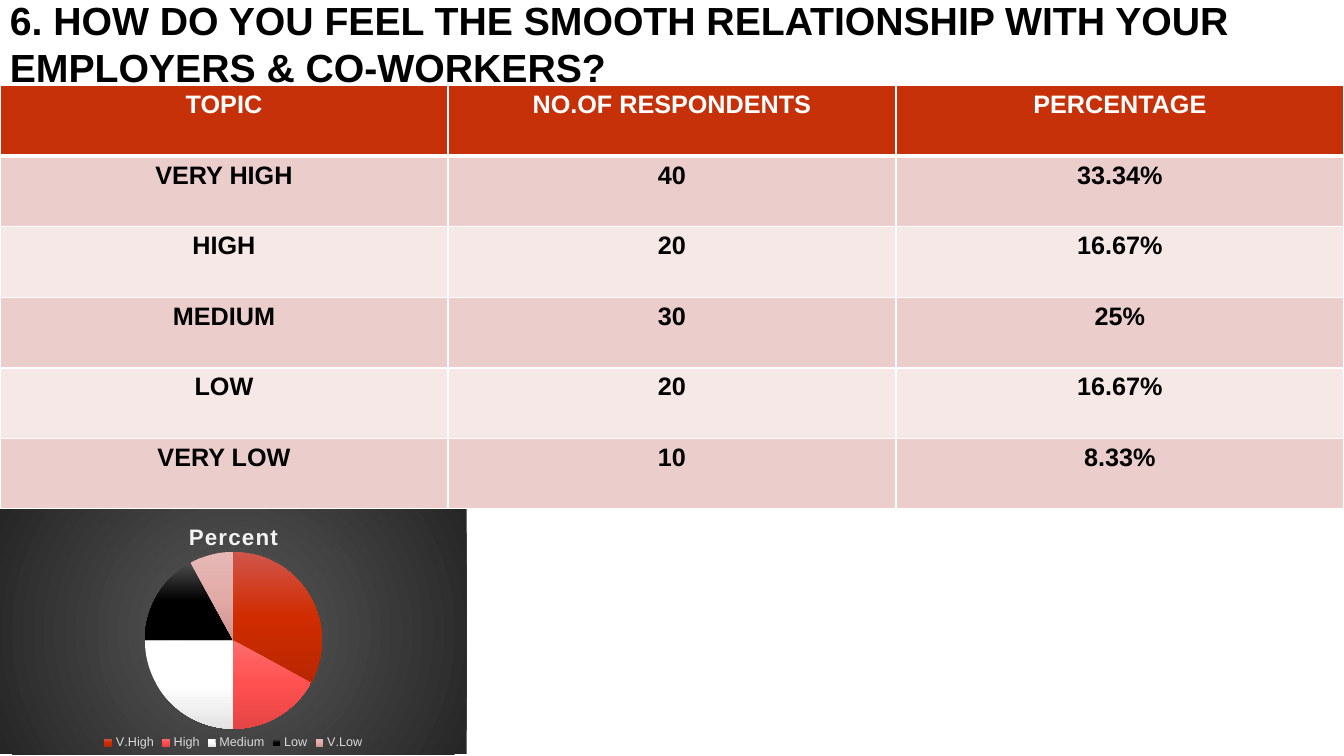
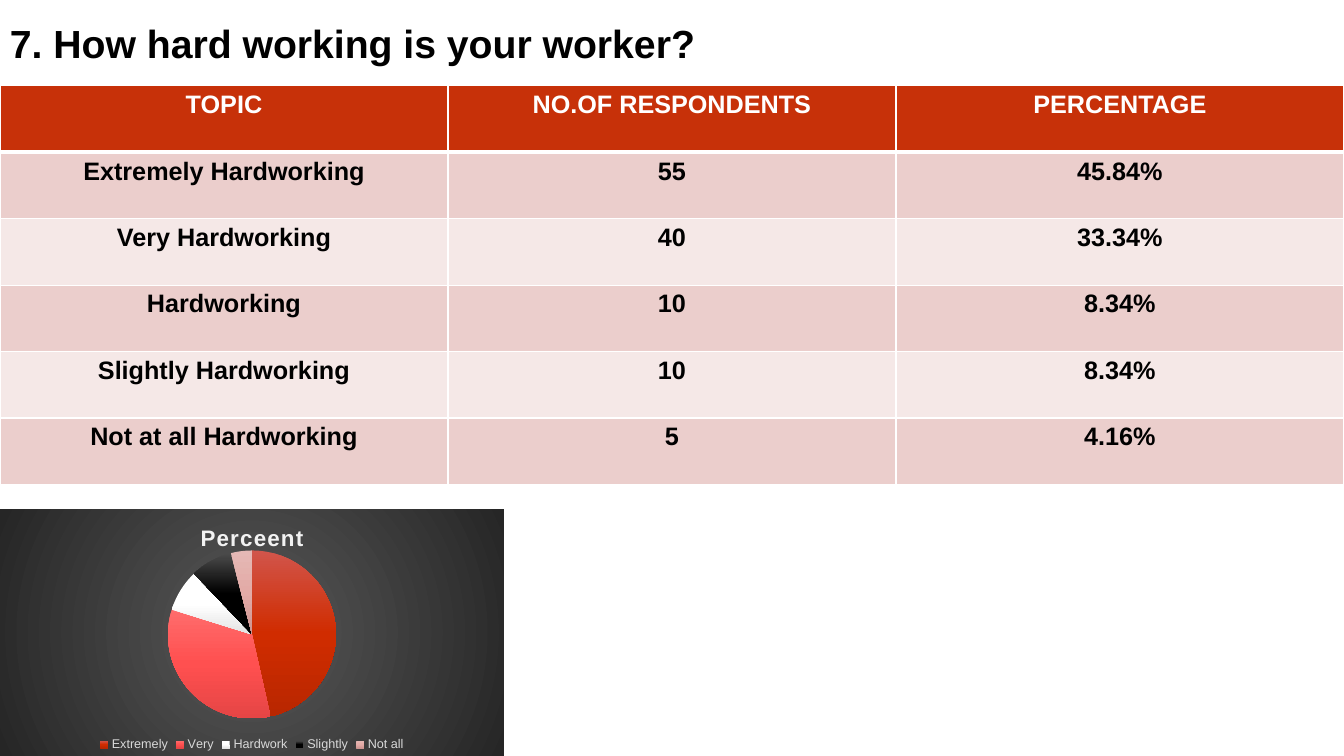
from dataclasses import dataclass

from lxml.etree import SubElement
from pptx import Presentation
from pptx.chart.chart import Chart
from pptx.chart.data import CategoryChartData
from pptx.dml.color import RGBColor
from pptx.enum.chart import XL_CHART_TYPE, XL_LEGEND_POSITION
from pptx.enum.text import MSO_ANCHOR, PP_ALIGN
from pptx.oxml.ns import qn
from pptx.slide import Slide
from pptx.table import _Cell
from pptx.util import Pt

FONT = "Arial"
BLACK = "000000"
WHITE = "FFFFFF"
HEADER_FILL = "C73109"
BAND_FILLS = ("EBCECC", "F5E8E7")
CHART_TITLE_COLOUR = "F2F2F2"
LEGEND_COLOUR = "D9D9D9"
CHART_BACKGROUND = ("595959", "262626")
SLICE_GRADIENTS = (
    ("D1554B", "D02C00", "B92700"),
    ("FF6C6C", "FF5050", "E54545"),
    ("FFFFFF", "FFFFFF", "E3E3E3"),
    ("4B4B4B", "000000", "000000"),
    ("E5B8B5", "E3ABA7", "CD9491"),
)

SLIDE_WIDTH = 960
SLIDE_HEIGHT = 540
TITLE_HEIGHT = 61.2
CHART_TOP = 363.6
HEADINGS = ("TOPIC", "NO.OF RESPONDENTS", "PERCENTAGE")


@dataclass(frozen=True)
class Answer:
    topic: str
    respondents: str
    percentage: str
    short_name: str
    chart_value: int


@dataclass(frozen=True)
class Question:
    title: str
    row_height: float
    chart_title: str
    chart_width: float
    chart_height: float
    plot_area: tuple[float, float, float, float]
    answers: tuple[Answer, ...]


QUESTIONS = (
    Question(
        "6. HOW DO YOU FEEL THE SMOOTH RELATIONSHIP WITH YOUR EMPLOYERS & CO-WORKERS?",
        50.4, "Percent", 333.4, 175, (0.005, 0.175, 0.99, 0.722),
        (
            Answer("VERY HIGH", "40", "33.34%", "V.High", 33),
            Answer("HIGH", "20", "16.67%", "High", 17),
            Answer("MEDIUM", "30", "25%", "Medium", 25),
            Answer("LOW", "20", "16.67%", "Low", 17),
            Answer("VERY LOW", "10", "8.33%", "V.Low", 8),
        ),
    ),
    Question(
        "7. How hard working is your worker?",
        47.5, "Perceent", 360, 176.4, (0.004, 0.168, 0.992, 0.68),
        (
            Answer("Extremely Hardworking", "55", "45.84%", "Extremely", 46),
            Answer("Very Hardworking", "40", "33.34%", "Very", 33),
            Answer("Hardworking", "10", "8.34%", "Hardwork", 8),
            Answer("Slightly Hardworking", "10", "8.34%", "Slightly", 8),
            Answer("Not at all Hardworking", "5", "4.16%", "Not all", 4),
        ),
    ),
)


def colour(value: str) -> RGBColor:
    return RGBColor.from_string(value)


def style_font(font, *, size: float, color: str, bold: bool = False) -> None:
    font.name = FONT
    font.size = Pt(size)
    font.bold = bold
    font.color.rgb = colour(color)


def write_text(text_frame, text: str, *, size: float, color: str = BLACK,
               bold: bool = True, align: PP_ALIGN = PP_ALIGN.LEFT):
    paragraph = text_frame.paragraphs[0]
    paragraph.alignment = align
    run = paragraph.add_run()
    run.text = text
    style_font(run.font, size=size, color=color, bold=bold)
    return run


def set_gradient(properties, colours: tuple[str, ...], *, radial: bool = False) -> None:
    for solid in properties.findall(qn("a:solidFill")):
        properties.remove(solid)
    gradient = SubElement(properties, qn("a:gradFill"))
    properties.insert(0, gradient)
    stops = SubElement(gradient, qn("a:gsLst"))
    for index, value in enumerate(colours):
        position = index * 100000 // (len(colours) - 1)
        stop = SubElement(stops, qn("a:gs"), pos=str(position))
        SubElement(stop, qn("a:srgbClr"), val=value)
    if radial:
        circle = SubElement(gradient, qn("a:path"), path="circle")
        SubElement(circle, qn("a:fillToRect"),
                   {side: "50000" for side in ("l", "t", "r", "b")})
    else:
        SubElement(gradient, qn("a:lin"), ang="5400000", scaled="0")


def set_borders(cell: _Cell, *, top: float, bottom: float) -> None:
    properties = cell._tc.get_or_add_tcPr()
    widths = {"a:lnL": 1, "a:lnR": 1, "a:lnT": top, "a:lnB": bottom}
    for index, (tag, width) in enumerate(widths.items()):
        line = SubElement(properties, qn(tag), w=str(int(Pt(width))))
        fill = SubElement(line, qn("a:solidFill"))
        SubElement(fill, qn("a:srgbClr"), val=WHITE)
        properties.insert(index, line)


def add_title(slide: Slide, text: str) -> None:
    shape = slide.shapes.add_textbox(Pt(0), Pt(0), Pt(SLIDE_WIDTH), Pt(TITLE_HEIGHT))
    shape.text_frame.word_wrap = True
    shape.text_frame.vertical_anchor = MSO_ANCHOR.MIDDLE
    write_text(shape.text_frame, text, size=28)


def add_answer_table(slide: Slide, question: Question) -> None:
    rows = [HEADINGS] + [(answer.topic, answer.respondents, answer.percentage)
                         for answer in question.answers]
    table = slide.shapes.add_table(
        len(rows), len(HEADINGS), Pt(0), Pt(TITLE_HEIGHT),
        Pt(SLIDE_WIDTH), Pt(question.row_height * len(rows))).table
    table.horz_banding = False
    for row_index, texts in enumerate(rows):
        table.rows[row_index].height = Pt(question.row_height)
        is_header = row_index == 0
        background = HEADER_FILL if is_header else BAND_FILLS[(row_index - 1) % 2]
        for column_index, text in enumerate(texts):
            cell = table.cell(row_index, column_index)
            cell.fill.solid()
            cell.fill.fore_color.rgb = colour(background)
            set_borders(cell, top=3 if row_index == 1 else 1,
                        bottom=3 if is_header else 1)
            write_text(cell.text_frame, text, size=18,
                       color=WHITE if is_header else BLACK, align=PP_ALIGN.CENTER)


def set_plot_area(chart: Chart, area: tuple[float, float, float, float]) -> None:
    plot_area = chart._chartSpace.find(qn("c:chart")).find(qn("c:plotArea"))
    for existing in plot_area.findall(qn("c:layout")):
        plot_area.remove(existing)
    layout = SubElement(plot_area, qn("c:layout"))
    plot_area.insert(0, layout)
    manual = SubElement(layout, qn("c:manualLayout"))
    settings = [("layoutTarget", "inner"), ("xMode", "edge"), ("yMode", "edge")]
    settings += zip("xywh", map(str, area))
    for name, value in settings:
        SubElement(manual, qn(f"c:{name}"), val=value)


def fill_chart_background(chart: Chart) -> None:
    chart_space = chart._chartSpace
    properties = SubElement(chart_space, qn("c:spPr"))
    chart_space.find(qn("c:chart")).addnext(properties)
    set_gradient(properties, CHART_BACKGROUND, radial=True)
    SubElement(SubElement(properties, qn("a:ln")), qn("a:noFill"))


def add_percent_pie(slide: Slide, question: Question) -> None:
    data = CategoryChartData()
    data.categories = [answer.short_name for answer in question.answers]
    data.add_series(question.chart_title,
                    [answer.chart_value for answer in question.answers])
    chart = slide.shapes.add_chart(
        XL_CHART_TYPE.PIE, Pt(0), Pt(CHART_TOP),
        Pt(question.chart_width), Pt(question.chart_height), data).chart
    style_font(chart.font, size=10, color=BLACK)
    chart.has_title = True
    chart.chart_title.include_in_layout = False
    title_run = write_text(chart.chart_title.text_frame, question.chart_title,
                           size=16, color=CHART_TITLE_COLOUR, align=PP_ALIGN.CENTER)
    title_run.font._element.set("spc", "100")
    chart.has_legend = True
    chart.legend.position = XL_LEGEND_POSITION.BOTTOM
    chart.legend.include_in_layout = False
    style_font(chart.legend.font, size=9, color=LEGEND_COLOUR)
    plot = chart.plots[0]
    plot.vary_by_categories = True
    series = plot.series[0]
    for index, colours in enumerate(SLICE_GRADIENTS):
        slice_format = series.points[index].format
        slice_format.fill.solid()
        slice_format.line.fill.background()
        data_point = series._element.findall(qn("c:dPt"))[index]
        set_gradient(data_point.find(qn("c:spPr")), colours)
    set_plot_area(chart, question.plot_area)
    fill_chart_background(chart)


def main() -> None:
    presentation = Presentation()
    presentation.slide_width = Pt(SLIDE_WIDTH)
    presentation.slide_height = Pt(SLIDE_HEIGHT)
    for question in QUESTIONS:
        slide = presentation.slides.add_slide(presentation.slide_layouts[6])
        add_title(slide, question.title)
        add_answer_table(slide, question)
        add_percent_pie(slide, question)
    presentation.save("out.pptx")


if __name__ == "__main__":
    main()
